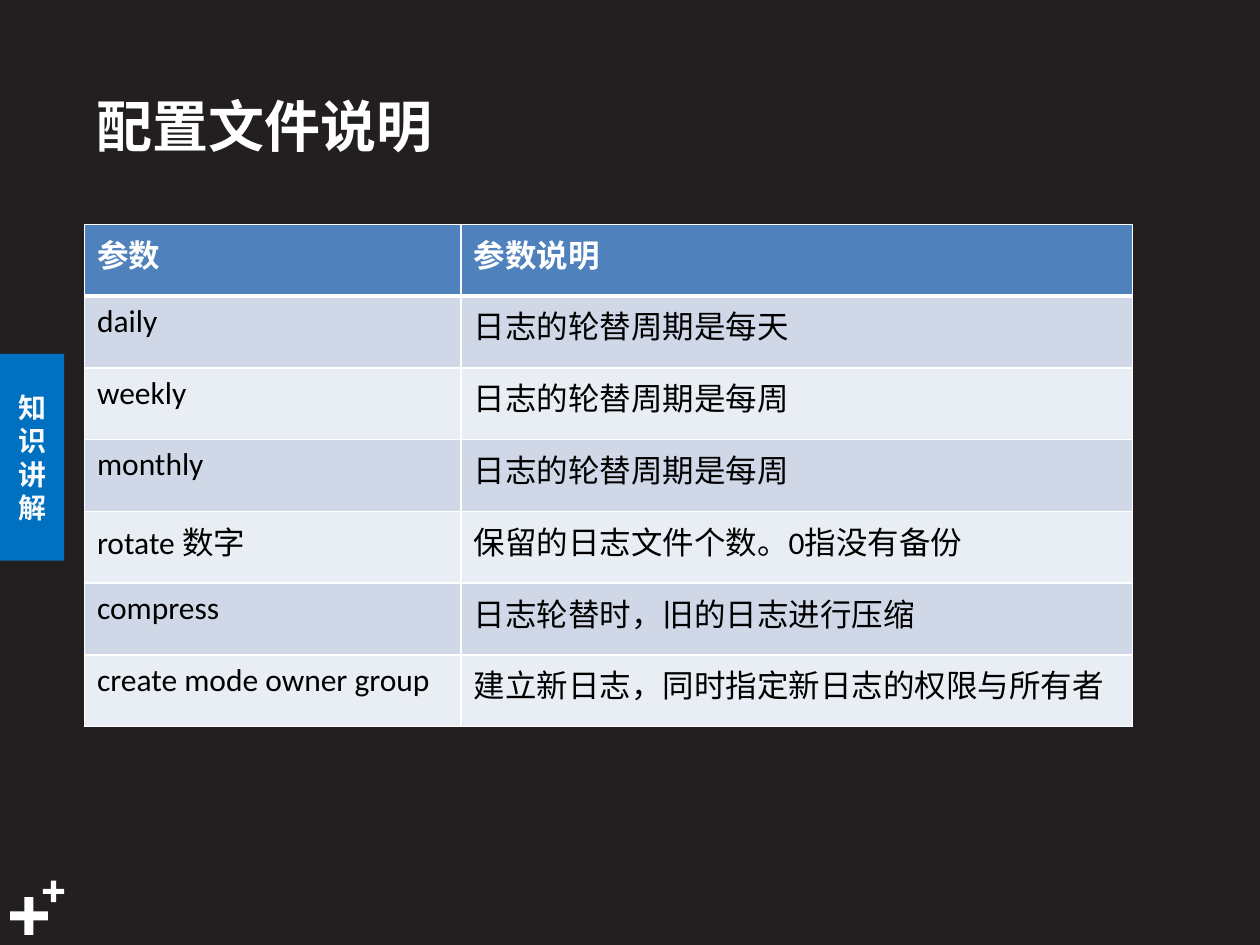
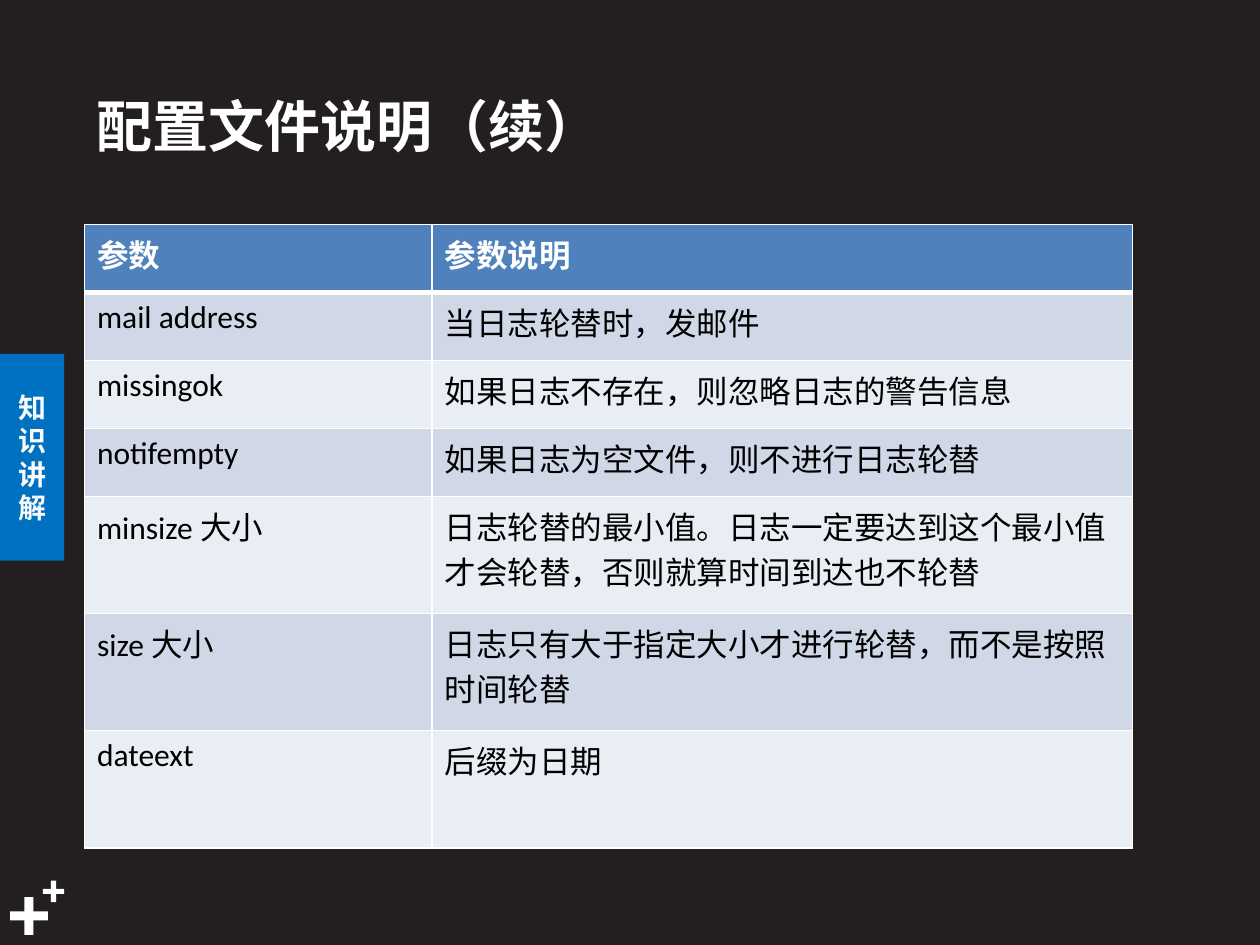
import dataclasses

import pptx
import pptx.dml.color
import pptx.enum.shapes
import pptx.enum.text
import pptx.oxml
import pptx.oxml.ns
import pptx.util
from pptx.util import Inches


@dataclasses.dataclass(frozen=True)
class Theme:
    background: str = "231F20"
    white: str = "FFFFFF"
    black: str = "000000"
    tab_fill: str = "0070C0"
    tab_text: str = "F9FAFB"
    header_fill: str = "4F81BD"
    row_fills: tuple = ("D0D8E8", "E9EDF4")
    latin_font: str = "Calibri"
    chinese_font: str = "Noto Sans CJK SC"
    title_size: int = 32
    tab_size: int = 16
    table_size: int = 18


theme = Theme()
rgb = pptx.dml.color.RGBColor.from_string
shape_type = pptx.enum.shapes.MSO_SHAPE
middle = pptx.enum.text.MSO_ANCHOR.MIDDLE


def write_text(frame, text, *, size, color, font=theme.chinese_font, bold=False,
               align=pptx.enum.text.PP_ALIGN.LEFT, line_spacing=None):
    """Put one formatted paragraph into a text frame."""
    paragraph = frame.paragraphs[0]
    paragraph.alignment = align
    paragraph.line_spacing = line_spacing
    run = paragraph.add_run()
    run.text = text
    run.font.name = font
    run.font.size = pptx.util.Pt(size)
    run.font.bold = bold
    run.font.color.rgb = rgb(color)
    east_asian = pptx.oxml.parse_xml(
        f'<a:ea {pptx.oxml.ns.nsdecls("a")} typeface="{theme.chinese_font}"/>')
    run.font._element.find(pptx.oxml.ns.qn("a:latin")).addnext(east_asian)


def set_borders(cell, bottom=1, top=1):
    """Draw white cell borders, with widths in points."""
    properties = cell._tc.get_or_add_tcPr()
    widths = {"lnL": 1, "lnR": 1, "lnT": top, "lnB": bottom}
    for position, (tag, width) in enumerate(widths.items()):
        line = pptx.oxml.parse_xml(
            f'<a:{tag} {pptx.oxml.ns.nsdecls("a")} w="{pptx.util.Pt(width)}">'
            f'<a:solidFill><a:srgbClr val="{theme.white}"/></a:solidFill></a:{tag}>')
        properties.insert(position, line)


pages = [
    {
        "title": "配置文件说明",
        "columns": [2.99, 5.33],
        "row_heights": [0.57] * 7,
        "parameters": [
            ("daily", "日志的轮替周期是每天"),
            ("weekly", "日志的轮替周期是每周"),
            ("monthly", "日志的轮替周期是每周"),
            ("rotate 数字", "保留的日志文件个数。0指没有备份"),
            ("compress", "日志轮替时，旧的日志进行压缩"),
            ("create mode owner group", "建立新日志，同时指定新日志的权限与所有者"),
        ],
    },
    {
        "title": "配置文件说明（续）",
        "columns": [2.76, 5.56],
        "row_heights": [0.54] * 4 + [0.93] * 3,
        "parameters": [
            ("mail address", "当日志轮替时，发邮件"),
            ("missingok", "如果日志不存在，则忽略日志的警告信息"),
            ("notifempty", "如果日志为空文件，则不进行日志轮替"),
            ("minsize 大小", "日志轮替的最小值。日志一定要达到这个最小值才会轮替，否则就算时间到达也不轮替"),
            ("size 大小", "日志只有大于指定大小才进行轮替，而不是按照时间轮替"),
            ("dateext", "后缀为日期"),
        ],
    },
]
header = ("参数", "参数说明")
left_margin = 0.67

presentation = pptx.Presentation()
presentation.slide_width = Inches(10)
presentation.slide_height = Inches(7.5)

for page in pages:
    slide = presentation.slides.add_slide(presentation.slide_layouts[6])
    slide.background.fill.solid()
    slide.background.fill.fore_color.rgb = rgb(theme.background)

    # Corner plus signs
    for left, top, size in [(0.08, 7.12, 0.3), (0.34, 6.99, 0.17)]:
        plus = slide.shapes.add_shape(
            shape_type.CROSS, Inches(left), Inches(top), Inches(size), Inches(size))
        plus.adjustments[0] = 0.38
        plus.shadow.inherit = False
        plus.fill.solid()
        plus.fill.fore_color.rgb = rgb(theme.white)
        plus.line.fill.background()

    # Side tab
    tab = slide.shapes.add_shape(
        shape_type.RECTANGLE, 0, Inches(2.81), Inches(0.51), Inches(1.64))
    tab.shadow.inherit = False
    tab.fill.solid()
    tab.fill.fore_color.rgb = rgb(theme.tab_fill)
    tab.line.fill.background()
    tab.text_frame.word_wrap = True
    tab.text_frame.vertical_anchor = middle
    write_text(tab.text_frame, "知识讲解", size=theme.tab_size, color=theme.tab_text,
               bold=True, align=pptx.enum.text.PP_ALIGN.CENTER,
               line_spacing=pptx.util.Pt(19.2))

    # Title
    title = slide.shapes.add_textbox(
        Inches(left_margin), Inches(0.6), Inches(7.4), Inches(0.78))
    title.text_frame.word_wrap = True
    title.text_frame.vertical_anchor = middle
    write_text(title.text_frame, page["title"], size=theme.title_size,
               color=theme.white, bold=True)

    # Parameter table
    rows = [header] + page["parameters"]
    table = slide.shapes.add_table(
        len(rows), len(header), Inches(left_margin), Inches(1.78),
        Inches(sum(page["columns"])), Inches(sum(page["row_heights"]))).table
    for column, width in zip(table.columns, page["columns"]):
        column.width = Inches(width)
    for row_index, texts in enumerate(rows):
        is_header = row_index == 0
        table.rows[row_index].height = Inches(page["row_heights"][row_index])
        for column_index, text in enumerate(texts):
            cell = table.cell(row_index, column_index)
            cell.fill.solid()
            cell.fill.fore_color.rgb = rgb(
                theme.header_fill if is_header else theme.row_fills[(row_index - 1) % 2])
            set_borders(cell, bottom=3 if is_header else 1, top=3 if row_index == 1 else 1)
            write_text(cell.text_frame, text, size=theme.table_size,
                       font=theme.latin_font, bold=is_header,
                       color=theme.white if is_header else theme.black)

presentation.save("out.pptx")
